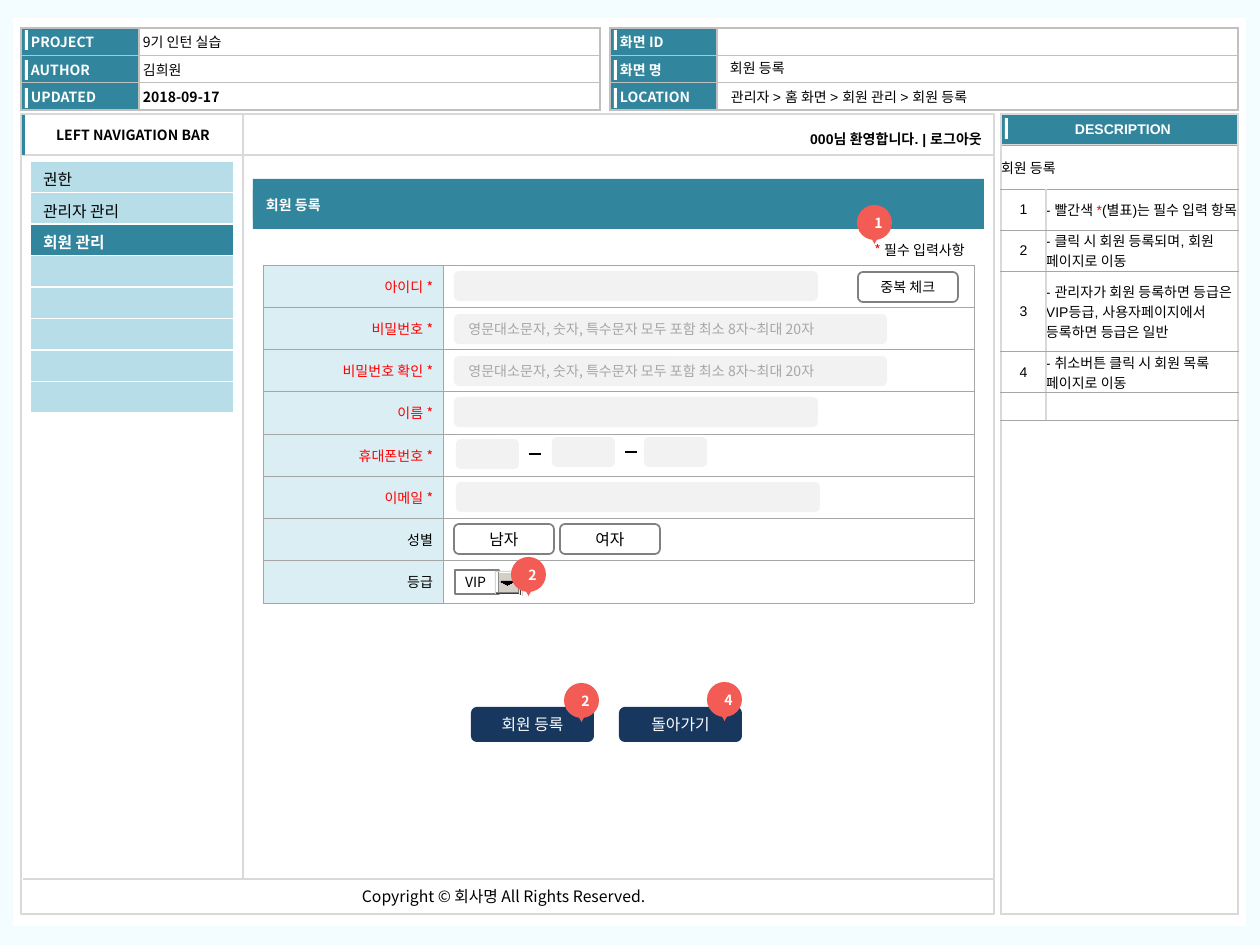
"""Build the member registration wireframe slide."""
from lxml import etree
from pptx import Presentation
from pptx.dml.color import RGBColor
from pptx.enum.shapes import MSO_CONNECTOR as CONN, MSO_SHAPE as SHAPE
from pptx.enum.text import MSO_ANCHOR as ANCHOR, PP_ALIGN as ALIGN
from pptx.oxml.ns import qn
from pptx.util import Pt

SCALE = 914400 / 126
NOTO, ARIAL = "Noto Sans CJK KR", "Arial"
TEAL, WHITE, BLACK, RED = "31859C", "FFFFFF", "000000", "FF0000"
SKY, NAVY, CORAL, PALE = "B7DEE8", "17375E", "F25C54", "DBEEF4"
GRAY, SILVER, MID, DARK = "D9D9D9", "C0C0C0", "A6A6A6", "808080"
FIELD, BEVEL, SHADE = "F2F2F2", "D4D0C8", "404040"
LEFT, CENTER, RIGHT = ALIGN.LEFT, ALIGN.CENTER, ALIGN.RIGHT


def px(*values):
    return [round(v * SCALE) for v in values]


def rgb(color):
    return RGBColor.from_string(color)


def write(tf, runs, size=8, color=BLACK, bold=False, font=NOTO, align=LEFT):
    p = tf.paragraphs[0]
    p.alignment = align
    if not runs:
        end = etree.SubElement(p._p, qn("a:endParaRPr"))
        end.set("sz", str(size * 100))
        return
    for text, run_color in [(runs, color)] if isinstance(runs, str) else runs:
        r = p.add_run()
        r.text = text
        r.font.size, r.font.bold, r.font.name = Pt(size), bold, font
        r.font.color.rgb = rgb(run_color)
        ea = etree.SubElement(r._r.get_or_add_rPr(), qn("a:ea"))
        ea.set("typeface", NOTO)


def set_insets(obj, left, right, top=0):
    obj.margin_left, obj.margin_right, obj.margin_top = px(left, right, top)
    obj.margin_bottom = 0
    obj.vertical_anchor = ANCHOR.MIDDLE


def add_text(sp, text, ins=(13, 13), wrap=True, **style):
    tf = sp.text_frame
    tf.word_wrap = wrap
    set_insets(tf, *ins)
    write(tf, text, **style)


def add_box(parent, x, y, w, h, fill=None, line=None, weight=0.75, kind=SHAPE.RECTANGLE):
    sp = parent.shapes.add_shape(kind, *px(x, y, w, h))
    sp.shadow.inherit = False
    if fill:
        sp.fill.solid()
        sp.fill.fore_color.rgb = rgb(fill)
    else:
        sp.fill.background()
    if line:
        sp.line.color.rgb = rgb(line)
        sp.line.width = Pt(weight)
    else:
        sp.line.fill.background()
    return sp


def add_round(s, x, y, w, h, fill=FIELD, line=None):
    return add_box(s, x, y, w, h, fill, line, 1, SHAPE.ROUNDED_RECTANGLE)


def add_label(s, x, y, w, h, text, **style):
    add_text(s.shapes.add_textbox(*px(x, y, w, h)), text, **style)


def add_line(s, x1, y1, x2, y2, color=GRAY, weight=0.75):
    c = s.shapes.add_connector(CONN.STRAIGHT, *px(x1, y1, x2, y2))
    c.line.color.rgb = rgb(color)
    c.line.width = Pt(weight)
    etree.SubElement(c._element.spPr, qn("a:effectLst"))


def add_pin(s, x, y, number):
    g = s.shapes.add_group_shape()
    disc = add_box(g, x, y, 35, 35, CORAL, kind=SHAPE.OVAL)
    add_text(disc, number, (8, 0), False, color=WHITE, bold=True, align=CENTER)
    tip = add_box(g, x + 12, y + 29, 11, 10, CORAL, kind=SHAPE.ISOSCELES_TRIANGLE)
    tip.rotation = 180


def add_table(s, x, y, cols, rows):
    frame = s.shapes.add_table(len(rows), len(cols), *px(x, y, sum(cols), sum(rows)))
    table = frame.table
    table.first_row = table.horz_banding = False
    for col, w in zip(table.columns, cols):
        col.width = px(w)[0]
    for row, h in zip(table.rows, rows):
        row.height = px(h)[0]
    return table


def set_cell(cell, text, fill, sides, tops, ins=(0, 0), **style):
    tcPr = cell._tc.get_or_add_tcPr()
    for tag, (color, weight) in zip("LRTB", (sides, sides, tops, tops)):
        ln = etree.SubElement(tcPr, qn("a:ln" + tag), w=str(Pt(weight)))
        solid = etree.SubElement(ln, qn("a:solidFill"))
        etree.SubElement(solid, qn("a:srgbClr"), val=color)
    if fill:
        cell.fill.solid()
        cell.fill.fore_color.rgb = rgb(fill)
    else:
        cell.fill.background()
    set_insets(cell, *ins)
    write(cell.text_frame, text, **style)


def add_header(s, x, cols, rows, bar_x):
    table = add_table(s, x, 28, cols, [82 / 3] * 3)
    edge = (SILVER, 1)
    for i, (name, value, bold) in enumerate(rows):
        set_cell(table.cell(i, 0), name, TEAL, edge, edge, (10, 0), color=WHITE, bold=True)
        set_cell(table.cell(i, 1), value, WHITE, edge, edge, (4, 4), bold=bold)
    for y in (30, 60, 88):
        add_box(s, bar_x, y, 3, 20, WHITE)


def add_description(s):
    side, rule = (GRAY, 1), (MID, 0.5)
    panel = add_table(s, 1001, 114, [237], [31, 769])
    set_cell(panel.cell(0, 0), "DESCRIPTION", TEAL, side, side, (7, 0),
             color=WHITE, bold=True, font=ARIAL, align=CENTER)
    set_cell(panel.cell(1, 0), "", WHITE, side, side)
    add_box(s, 1005, 118, 3, 21, WHITE)
    notes = [
        [("- 빨간색 ", BLACK), ("*", RED), ("(별표)는 필수 입력 항목", BLACK)],
        "- 클릭 시 회원 등록되며, 회원 페이지로 이동",
        "- 관리자가 회원 등록하면 등급은 VIP등급, 사용자페이지에서 등록하면 등급은 일반",
        "- 취소버튼 클릭 시 회원 목록 페이지로 이동",
        "",
    ]
    table = add_table(s, 1001, 145, [45, 192], [44, 41, 41, 81, 41, 28])
    table.cell(0, 0).merge(table.cell(0, 1))
    set_cell(table.cell(0, 0), "회원 등록", WHITE, side, rule, font=ARIAL)
    for i, note in enumerate(notes, 1):
        number = str(i) if note else ""
        set_cell(table.cell(i, 0), number, WHITE, side, rule, font=ARIAL, align=CENTER)
        set_cell(table.cell(i, 1), note, WHITE, side, rule, font=ARIAL)


def add_navigation(s):
    add_text(add_box(s, 23, 114, 220, 41, line=GRAY), "LEFT NAVIGATION BAR", bold=True, align=CENTER)
    add_box(s, 22, 115, 3, 40, TEAL)
    names = ["권한", "관리자 관리", "회원 관리"] + [""] * 5
    table = add_table(s, 30, 161, [204], [252 / 8] * 8)
    edge = (WHITE, 1)
    for i, name in enumerate(names):
        active = i == 2
        set_cell(table.cell(i, 0), name, TEAL if active else SKY, edge, edge, (13, 13, 4),
                 size=9, color=WHITE if active else BLACK, bold=active)


def add_dropdown(s):
    add_text(add_box(s, 455, 570, 44, 24, WHITE, DARK), "VIP", (10, 0), False)
    g = s.shapes.add_group_shape()
    bevels = [(523, 568, 1, 30, WHITE), (522, 570, 1, 26, BEVEL), (520, 571, 1, 24, SHADE),
              (495, 593, 24, 1, SHADE), (495, 571, 1, 23, BEVEL), (496, 571, 23, 1, BEVEL),
              (518, 572, 1, 21, DARK), (496, 592, 22, 1, DARK), (496, 572, 1, 20, WHITE),
              (499, 572, 19, 1, WHITE), (499, 573, 19, 19, BEVEL)]
    arrow = [(501 + 2 * i, 581 + i, 13 - 4 * i, 2, BLACK) for i in range(4)]
    for bar in bevels + arrow:
        add_box(g, *bar)


def add_form(s):
    labels = ["아이디 *", "비밀번호 *", "비밀번호 확인 *", "이름 *", "휴대폰번호 *", "이메일 *", "성별", "등급"]
    table = add_table(s, 263, 265, [180, 531], [338 / 8] * 8)
    edge = (MID, 0.25)
    for i, label in enumerate(labels):
        color = RED if label.endswith("*") else BLACK
        set_cell(table.cell(i, 0), label, PALE, edge, edge, (10, 10), color=color, align=RIGHT)
        set_cell(table.cell(i, 1), "", None, edge, edge)
    for x, y, w, text, size in [(858, 272, 100, "중복 체크", 8), (454, 524, 100, "남자", 9),
                                (560, 524, 100, "여자", 9)]:
        add_text(add_round(s, x, y, w, 30, WHITE, DARK), text, size=size, align=CENTER)
    for y in (314, 356):
        add_text(add_round(s, 454, y, 433, 30),
                 "영문대소문자, 숫자, 특수문자 모두 포함 최소 8자~최대 20자", color=MID)
    for x, y, w in [(454, 271, 364), (454, 397, 364), (456, 482, 364),
                    (456, 439, 63), (552, 437, 63), (644, 437, 63)]:
        add_round(s, x, y, w, 30)
    add_line(s, 529, 454, 541, 454, BLACK)
    add_line(s, 625, 452, 637, 452, BLACK)
    add_dropdown(s)


def main():
    prs = Presentation()
    prs.slide_width, prs.slide_height = px(1260, 945)
    s = prs.slides.add_slide(prs.slide_layouts[6])
    s.background.fill.solid()
    s.background.fill.fore_color.rgb = rgb("F3FCFF")
    add_box(s, 13, 18, 1233, 908, WHITE)
    add_header(s, 21, [118, 461], [("PROJECT", "9기 인턴 실습", False), ("AUTHOR", "김희원", False),
                                   ("UPDATED", "2018-09-17", True)], 25)
    add_header(s, 610, [107, 521], [(n, "", False) for n in ("화면 ID", "화면 명", "LOCATION")], 614)
    add_label(s, 721, 84, 365, 25, "관리자 > 홈 화면 > 회원 관리 > 회원 등록", ins=(10, 10), font=ARIAL)
    add_label(s, 720, 55, 365, 25, "회원 등록", ins=(10, 10), font=ARIAL)
    add_box(s, 21, 114, 973, 800, line=GRAY)
    add_description(s)
    add_line(s, 23, 879, 994, 879, weight=1)
    add_label(s, 349, 881, 318, 31, "Copyright ©\u00a0회사명 All Rights Reserved.", wrap=False, size=9)
    add_navigation(s)
    add_line(s, 243, 114, 243, 879)
    add_line(s, 243, 155, 994, 155, weight=1)
    add_label(s, 667, 125, 325, 28, "000님 환영합니다. | 로그아웃", ins=(10, 10),
              bold=True, font=ARIAL, align=RIGHT)
    add_box(s, 253, 179, 731, 50, TEAL)
    add_text(add_box(s, 253, 190, 648, 30, TEAL), "회원 등록", color=WHITE, bold=True)
    add_label(s, 799, 235, 179, 30, [("* ", RED), ("필수 입력사항", BLACK)], align=RIGHT)
    add_form(s)
    for x, text in [(471, "회원 등록"), (619, "돌아가기")]:
        add_text(add_round(s, x, 707, 123, 35, NAVY), text, size=9, color=WHITE, align=CENTER)
    for pin in [(857, 205, "1"), (564, 683, "2"), (707, 682, "4"), (511, 557, "2")]:
        add_pin(s, *pin)
    prs.save("out.pptx")


if __name__ == "__main__":
    main()
